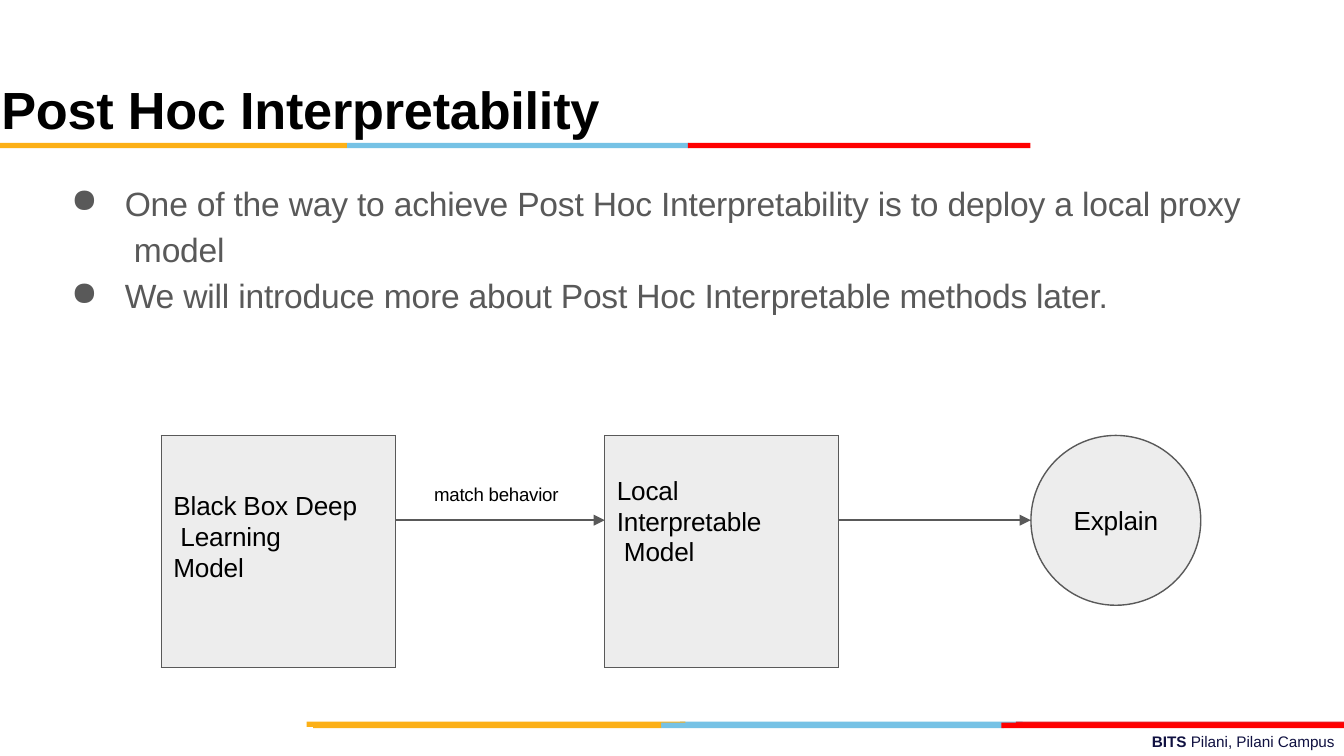
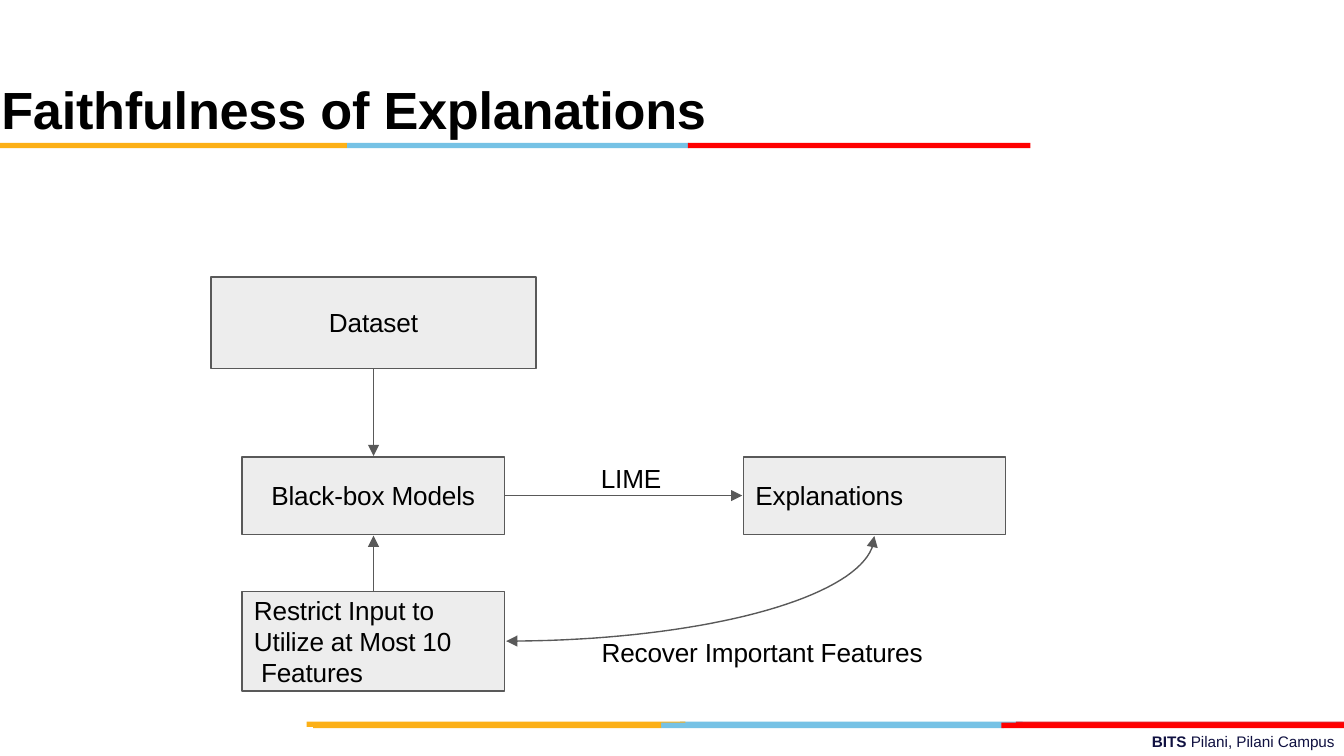
"""Build two slides on post hoc interpretability and faithful explanations."""
import math
from dataclasses import dataclass
from typing import Any, NamedTuple, Optional

from lxml import etree
from pptx import Presentation
from pptx import util as u
from pptx.dml import color
from pptx.enum import shapes, text
from pptx.oxml import ns


@dataclass(frozen=True)
class Theme:
    """Colours, font and type sizes of the deck."""
    amber: str = "FCB017"
    blue: str = "76C2E5"
    crimson: str = "E31C24"
    red: str = "FF0000"
    navy: str = "101141"
    black: str = "000000"
    gray: str = "595959"
    panel: str = "EDEDED"
    font: str = "Arial"
    title: float = 28
    body: float = 18
    label: float = 14
    small: float = 10
    footer: float = 8.2
    outline: float = 0.75
    leading: float = 16.5
    tracking: str = "-10"


THEME = Theme()
LEFT, CENTER, RIGHT = text.PP_ALIGN.LEFT, text.PP_ALIGN.CENTER, text.PP_ALIGN.RIGHT
TOP, MIDDLE = text.MSO_ANCHOR.TOP, text.MSO_ANCHOR.MIDDLE
RECTANGLE, OVAL = shapes.MSO_SHAPE.RECTANGLE, shapes.MSO_SHAPE.OVAL
NO_TABLE_STYLE = "{2D5ABB26-0587-4C30-8999-92F81FD0307C}"


class Area(NamedTuple):
    """Left, top, width and height in points."""
    left: float
    top: float
    width: float
    height: float


class Style(NamedTuple):
    """Look of one run of text."""
    size: float
    color: str = THEME.black
    bold: bool = False
    tracking: str = THEME.tracking


class Strip(NamedTuple):
    """One coloured piece of a band."""
    left: float
    top: float
    width: float
    color: str


class Box(NamedTuple):
    """One outlined node of a diagram."""
    area: Area
    words: str
    align: Any = CENTER
    kind: Any = RECTANGLE


class Arrow(NamedTuple):
    """One straight arrow."""
    x1: float
    y1: float
    x2: float
    y2: float
    weight: float = THEME.outline


class Column(NamedTuple):
    """One column of the flow table."""
    width: float
    words: str
    size: float
    indent: float
    top: float
    panel: bool
    sides: str


LABEL = Style(THEME.label)
TITLE = Style(THEME.title, bold=True)
BODY = Style(THEME.body, THEME.gray)
TITLE_AREA = Area(0, 39.6, 600, 35.3)
STRIPS = (
    Strip(364.3, 386.6, 183.6, THEME.blue),
    Strip(544.3, 386.6, 175.7, THEME.crimson),
    Strip(164.2, 386.6, 203, THEME.amber),
    Strip(354.2, 387.2, 183.6, THEME.blue),
    Strip(167.8, 387.2, 186.4, THEME.amber),
    Strip(536.4, 387.2, 183.6, THEME.red),
    Strip(185.8, 76.5, 183.2, THEME.blue),
    Strip(0, 76.5, 185.8, THEME.amber),
    Strip(368.6, 76.5, 183.4, THEME.red),
)
BULLETS = (
    "One of the way to achieve Post Hoc Interpretability is to deploy a local proxy\v model",
    "We will introduce more about Post Hoc Interpretable methods later.",
)
FLOW_AREA = Area(86.4, 233.3, 461.5, 90.8)
FLOW_COLUMNS = (
    Column(125.3, "Black Box Deep\v Learning\vModel", THEME.label, 6.5, 29.5, True, "LRTB"),
    Column(112.3, "match behavior", THEME.small, 20.9, 26.5, False, "LR"),
    Column(125.3, "Local\vInterpretable\v Model", THEME.label, 6.5, 21.3, True, "LRTB"),
    Column(98.6, "", THEME.label, 0, 0, False, "L"),
)
FLOW_ARROWS = (Arrow(212, 278.7, 324, 278.7, 1), Arrow(449.4, 278.7, 552.2, 278.7, 1))
EXPLAIN = Box(Area(552.3, 233.3, 91, 91), "Explain", kind=OVAL)
BOXES = (
    Box(Area(129.6, 317, 140.6, 53.2), "Restrict Input to\vUtilize at Most 10\v Features", LEFT),
    Box(Area(129.6, 244.9, 140.6, 41.3), "Black-box Models"),
    Box(Area(113, 148.4, 174.2, 49), "Dataset"),
    Box(Area(398.2, 244.9, 140.6, 41.3), "Explanations", LEFT),
)
LOOP_ARROWS = (
    Arrow(200.1, 317, 200.1, 287),
    Arrow(200.1, 197.4, 200.1, 244.3),
    Arrow(270.2, 265.5, 397.6, 265.5),
)
LOOP_LABELS = (
    (Area(321.2, 246.2, 40, 18.7), "LIME"),
    (Area(321.6, 339.1, 182, 18.7), "Recover Important Features"),
)
RECOVERY = Area(271.2, 287.2, 197.2, 56.3)


def rgb(value: str) -> color.RGBColor:
    """Turn a hex string into a colour."""
    return color.RGBColor.from_string(value)


def place(area: Area) -> tuple:
    """Turn an area into lengths."""
    return tuple(u.Pt(value) for value in area)


def add_runs(paragraph: Any, words: str, style: Style) -> None:
    """Add styled runs, with a line break at each vertical tab."""
    for index, line in enumerate(words.split("\v")):
        if index:
            paragraph.add_line_break()
        run = paragraph.add_run()
        run.text = line
        run.font.name = THEME.font
        run.font.size = u.Pt(style.size)
        run.font.bold = style.bold
        run.font.color.rgb = rgb(style.color)
        run.font._element.set("spc", style.tracking)


def set_frame(frame: Any, left: float = 0.7, top: float = 1.7, right: float = 0,
              bottom: float = 0, anchor: Any = TOP) -> None:
    """Set wrapping, insets and anchor of a text frame."""
    frame.word_wrap = True
    frame.margin_left, frame.margin_top = u.Pt(left), u.Pt(top)
    frame.margin_right, frame.margin_bottom = u.Pt(right), u.Pt(bottom)
    frame.vertical_anchor = anchor


def add_text(slide: Any, area: Area, words: str, style: Style, anchor: Any = TOP) -> None:
    """Add a text box with one paragraph."""
    frame = slide.shapes.add_textbox(*place(area)).text_frame
    set_frame(frame, anchor=anchor)
    add_runs(frame.paragraphs[0], words, style)


def add_panel(slide: Any, kind: Any, area: Area, fill: str, outline: Optional[str] = None) -> Any:
    """Add a filled preset shape, outlined on request."""
    shape = slide.shapes.add_shape(kind, *place(area))
    shape.shadow.inherit = False
    shape.fill.solid()
    shape.fill.fore_color.rgb = rgb(fill)
    if outline:
        shape.line.color.rgb = rgb(outline)
        shape.line.width = u.Pt(THEME.outline)
    else:
        shape.line.fill.background()
    return shape


def add_box(slide: Any, box: Box) -> None:
    """Add a diagram node with its words."""
    shape = add_panel(slide, box.kind, box.area, THEME.panel, THEME.gray)
    set_frame(shape.text_frame, 6.5 if box.align == LEFT else 0, 0, anchor=MIDDLE)
    paragraph = shape.text_frame.paragraphs[0]
    paragraph.alignment = box.align
    paragraph.line_spacing = u.Pt(THEME.leading)
    add_runs(paragraph, box.words, LABEL)


def style_line(shape: Any, weight: float, *ends: str) -> None:
    """Colour a line and give the named ends arrowheads."""
    shape.line.color.rgb = rgb(THEME.gray)
    shape.line.width = u.Pt(weight)
    line = shape.line._get_or_add_ln()
    for end in ends:
        etree.SubElement(line, ns.qn(f"a:{end}"), type="triangle", w="med", len="med")


def add_arrow(slide: Any, arrow: Arrow) -> None:
    """Add a straight arrow."""
    ends = (u.Pt(value) for value in arrow[:4])
    connector = slide.shapes.add_connector(shapes.MSO_CONNECTOR.STRAIGHT, *ends)
    style_line(connector, arrow.weight, "tailEnd")
    etree.SubElement(connector._element.spPr, ns.qn("a:effectLst"))


def add_quarter_arc(slide: Any, area: Area, steps: int = 40) -> None:
    """Add a two-headed quarter ellipse from top right to bottom left."""
    angles = [math.pi / 2 * step / steps for step in range(steps + 1)]
    points = [(u.Pt(area.left + area.width * math.cos(angle)),
               u.Pt(area.top + area.height * math.sin(angle))) for angle in angles]
    builder = slide.shapes.build_freeform(*points[0])
    builder.add_line_segments(points[1:], close=False)
    curve = builder.convert_to_shape()
    curve.shadow.inherit = False
    curve.fill.background()
    style_line(curve, THEME.outline, "headEnd", "tailEnd")


def set_borders(cell: Any, sides: str) -> None:
    """Draw the named sides of a table cell."""
    properties = cell._tc.get_or_add_tcPr()
    for side in sides:
        line = etree.SubElement(properties, ns.qn(f"a:ln{side}"), w=str(u.Pt(THEME.outline)))
        fill = etree.SubElement(line, ns.qn("a:solidFill"))
        etree.SubElement(fill, ns.qn("a:srgbClr"), val=THEME.gray)


def add_flow_table(slide: Any) -> None:
    """Add the table that holds the two models and the link between them."""
    table = slide.shapes.add_table(2, len(FLOW_COLUMNS), *place(FLOW_AREA)).table
    table.first_row = table.horz_banding = False
    table._tbl.tblPr.find(ns.qn("a:tableStyleId")).text = NO_TABLE_STYLE
    for index, column in enumerate(FLOW_COLUMNS):
        table.columns[index].width = u.Pt(column.width)
        cells = [table.cell(row, index) for row in range(2)]
        for cell in cells:
            set_borders(cell, column.sides)
            if column.panel:
                cell.fill.solid()
                cell.fill.fore_color.rgb = rgb(THEME.panel)
            else:
                cell.fill.background()
        if column.panel:
            cells[0].merge(cells[1])
        cells[0].margin_left, cells[0].margin_top = u.Pt(column.indent), u.Pt(column.top)
        cells[0].margin_right = cells[0].margin_bottom = 0
        if column.words:
            paragraph = cells[0].text_frame.paragraphs[0]
            if column.panel:
                paragraph.line_spacing = u.Pt(THEME.leading)
            add_runs(paragraph, column.words, Style(column.size))


def add_bullets(slide: Any) -> None:
    """Add the bulleted body text."""
    frame = slide.shapes.add_textbox(*place(Area(37.4, 92.9, 636, 76.3))).text_frame
    set_frame(frame, 0)
    for index, words in enumerate(BULLETS):
        paragraph = frame.add_paragraph() if index else frame.paragraphs[0]
        paragraph.line_spacing = 1.15
        properties = paragraph._p.get_or_add_pPr()
        properties.set("marL", str(u.Pt(29.5)))
        properties.set("indent", str(u.Pt(-28.8)))
        etree.SubElement(properties, ns.qn("a:buChar"), char="●")
        add_runs(paragraph, words, BODY)


def add_base_slide(presentation: Any, title: str) -> Any:
    """Add a blank slide with the shared footer, bands and title."""
    slide = presentation.slides.add_slide(presentation.slide_layouts[6])
    footer = slide.shapes.add_textbox(*place(Area(257.8, 389.5, 462.2, 15.1))).text_frame
    set_frame(footer, 5, 2.9, 5, 2.9)
    footer.paragraphs[0].alignment = RIGHT
    for words, bold in (("BITS ", True), ("Pilani, Pilani Campus", False)):
        add_runs(footer.paragraphs[0], words, Style(THEME.footer, THEME.navy, bold, "0"))
    for strip in STRIPS:
        add_panel(slide, RECTANGLE, Area(strip.left, strip.top, strip.width, 2.9), strip.color)
    add_text(slide, TITLE_AREA, title, TITLE, MIDDLE)
    return slide


def main() -> None:
    """Build both slides and save the deck."""
    presentation = Presentation()
    presentation.slide_width, presentation.slide_height = u.Pt(720), u.Pt(405)

    slide = add_base_slide(presentation, "Post Hoc Interpretability")
    add_bullets(slide)
    add_flow_table(slide)
    add_box(slide, EXPLAIN)
    for arrow in FLOW_ARROWS:
        add_arrow(slide, arrow)

    slide = add_base_slide(presentation, "Faithfulness of Explanations")
    for box in BOXES:
        add_box(slide, box)
    for arrow in LOOP_ARROWS:
        add_arrow(slide, arrow)
    add_quarter_arc(slide, RECOVERY)
    for area, words in LOOP_LABELS:
        add_text(slide, area, words, LABEL)

    presentation.save("out.pptx")


if __name__ == "__main__":
    main()
